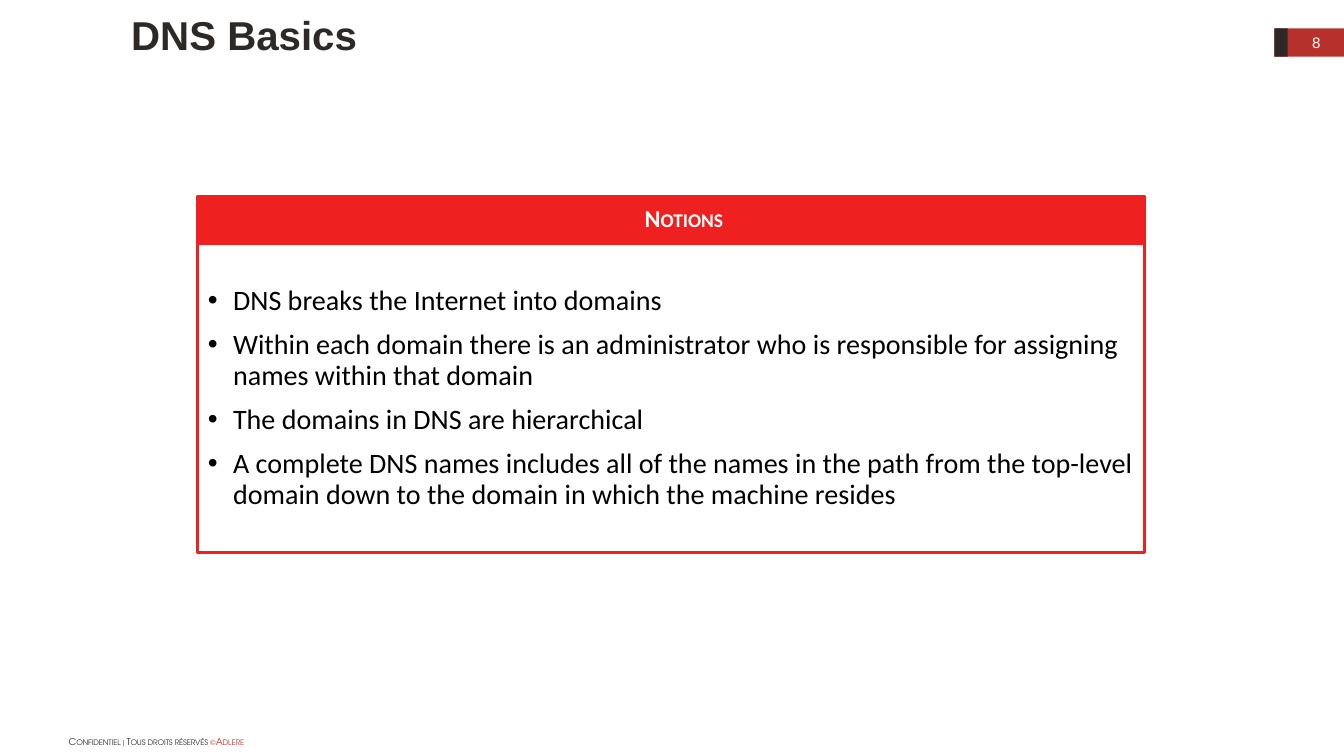
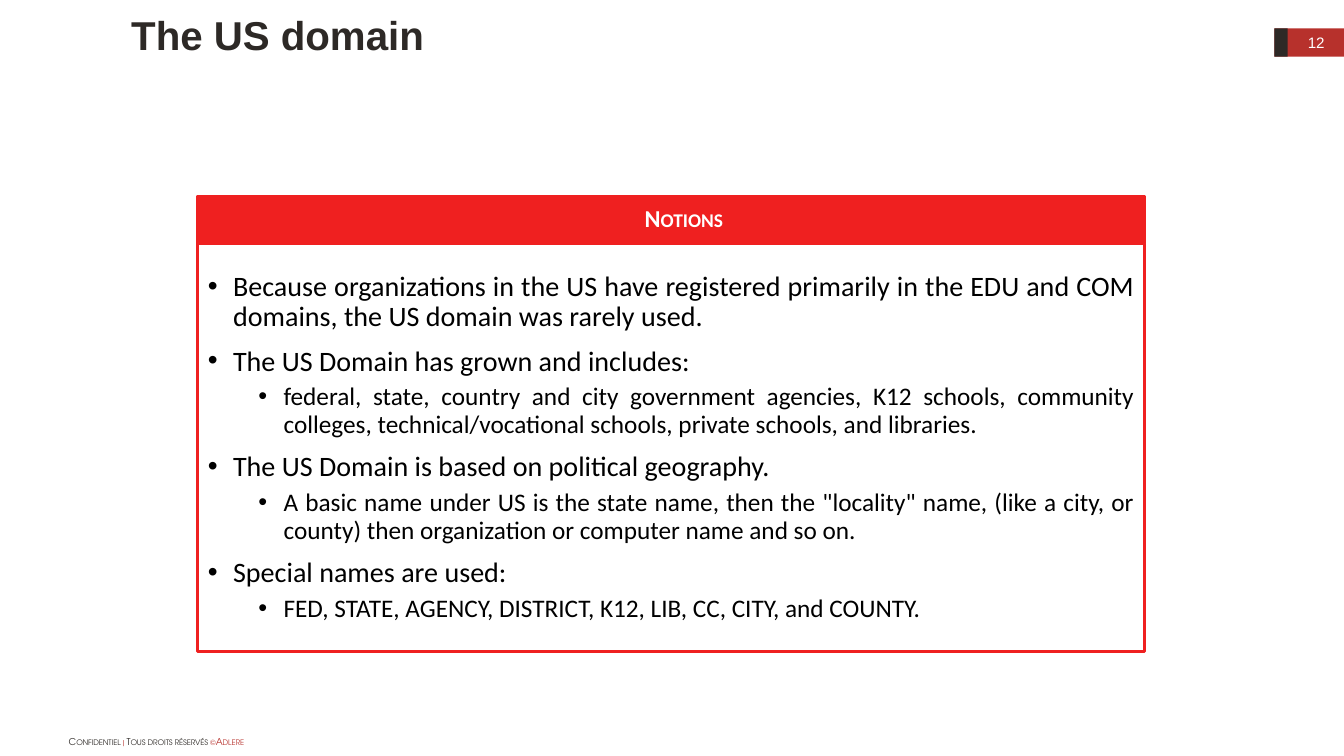
from dataclasses import dataclass
from typing import Optional

from lxml.etree import SubElement
from pptx import Presentation
from pptx.dml.color import RGBColor
from pptx.enum.shapes import MSO_SHAPE
from pptx.enum.text import MSO_ANCHOR, MSO_AUTO_SIZE, PP_ALIGN
from pptx.oxml.ns import qn
from pptx.util import Pt

# Shared look
WHITE, BLACK, DARK = "FFFFFF", "000000", "2D2926"
BRICK, RED = "B7312C", "EF2020"
HEADING_FONT, BODY_FONT, FOOTER_FONT = "Arial", "Calibri", "TeX Gyre Adventor"
PAGE_WIDTH, PAGE_HEIGHT = 957.6, 538.6
BAND_LEFT, BAND_TOP, BAND_HEIGHT, STRIP_WIDTH = 908, 20.2, 20.2, 9.4
PANEL_LEFT, PANEL_TOP, PANEL_WIDTH, HEADER_HEIGHT = 141, 139.7, 674.6, 33.8
BULLET_INDENT, LEVEL_STEP = 18, 36
LEVEL_SIZES, LEVEL_GAPS = (20, 18), (10, 5)
FOOTER = (("Confidentiel ", DARK), ("| ", BRICK),
          ("Tous droits réservés ", DARK), ("©Adlere", BRICK))


@dataclass(frozen=True)
class Box:
    left: float
    top: float
    width: float
    height: float

    def lengths(self) -> tuple:
        return Pt(self.left), Pt(self.top), Pt(self.width), Pt(self.height)


@dataclass(frozen=True)
class Bullet:
    text: str
    level: int = 0


@dataclass(frozen=True)
class Lesson:
    title: str
    number: int
    panel_height: float
    bullets: tuple
    align: PP_ALIGN = PP_ALIGN.LEFT


def colour(value: str) -> RGBColor:
    return RGBColor.from_string(value)


def add_run(paragraph, text: str, *, size: float, font: str, ink: str,
            bold: bool = False, small_caps: bool = False) -> None:
    run = paragraph.add_run()
    run.text = text
    run.font.size = Pt(size)
    run.font.name = font
    run.font.bold = bold
    run.font.color.rgb = colour(ink)
    if small_caps:
        run.font._element.set("cap", "small")


def add_rect(slide, box: Box, fill: str, line: Optional[str] = None):
    rect = slide.shapes.add_shape(MSO_SHAPE.RECTANGLE, *box.lengths())
    rect.shadow.inherit = False
    rect.fill.solid()
    rect.fill.fore_color.rgb = colour(fill)
    if line:
        rect.line.color.rgb = colour(line)
        rect.line.width = Pt(2)
    else:
        rect.line.fill.background()
    return rect


def set_frame(shape, anchor: MSO_ANCHOR, insets: tuple = (7.2, 3.6, 7.2, 3.6)):
    frame = shape.text_frame
    frame.word_wrap = True
    frame.vertical_anchor = anchor
    (frame.margin_left, frame.margin_top,
     frame.margin_right, frame.margin_bottom) = map(Pt, insets)
    return frame


def add_text_frame(slide, box: Box, anchor: MSO_ANCHOR):
    return set_frame(slide.shapes.add_textbox(*box.lengths()), anchor)


def add_bullet_mark(paragraph, level: int) -> None:
    properties = paragraph._p.get_or_add_pPr()
    properties.set("marL", str(Pt(BULLET_INDENT + level * LEVEL_STEP)))
    properties.set("indent", str(-Pt(BULLET_INDENT)))
    SubElement(properties, qn("a:buFont")).set("typeface", "Arial")
    SubElement(properties, qn("a:buChar")).set("char", "•")


def draw_furniture(slide, title: str, number: int) -> None:
    # Page number band
    band = Box(BAND_LEFT, BAND_TOP, PAGE_WIDTH - BAND_LEFT, BAND_HEIGHT)
    add_rect(slide, band, BRICK)
    add_rect(slide, Box(BAND_LEFT, BAND_TOP, STRIP_WIDTH, BAND_HEIGHT), DARK)
    page = add_text_frame(slide, Box(918, BAND_TOP, 39.6, BAND_HEIGHT),
                          MSO_ANCHOR.MIDDLE).paragraphs[0]
    page.alignment = PP_ALIGN.CENTER
    add_run(page, str(number), size=10.8, font=HEADING_FONT, ink=WHITE)

    # Footer
    footer = add_text_frame(slide, Box(41.8, 520.6, 226.8, 15.1), MSO_ANCHOR.TOP)
    footer.auto_size = MSO_AUTO_SIZE.SHAPE_TO_FIT_TEXT
    for words, ink in FOOTER:
        add_run(footer.paragraphs[0], words, size=6.7, font=FOOTER_FONT,
                ink=ink, small_caps=True)

    # Title
    heading = add_text_frame(slide, Box(86.4, 11.5, 795.6, 33.8), MSO_ANCHOR.BOTTOM)
    add_run(heading.paragraphs[0], title, size=28.7, font=HEADING_FONT,
            ink=DARK, bold=True)


def draw_panel(slide, lesson: Lesson) -> None:
    # Panel header
    header = add_rect(slide, Box(PANEL_LEFT, PANEL_TOP, PANEL_WIDTH, HEADER_HEIGHT),
                      RED, RED)
    label = set_frame(header, MSO_ANCHOR.MIDDLE, (25.2, 0, 7.2, 0)).paragraphs[0]
    label.alignment = PP_ALIGN.CENTER
    label.line_spacing = 0.9
    add_run(label, "Notions", size=17.3, font=BODY_FONT, ink=WHITE,
            bold=True, small_caps=True)

    # Panel body
    body = add_rect(slide, Box(PANEL_LEFT, PANEL_TOP + HEADER_HEIGHT,
                               PANEL_WIDTH, lesson.panel_height), WHITE, RED)
    frame = set_frame(body, MSO_ANCHOR.MIDDLE, (7.2,) * 4)
    for index, bullet in enumerate(lesson.bullets):
        paragraph = frame.add_paragraph() if index else frame.paragraphs[0]
        add_bullet_mark(paragraph, bullet.level)
        paragraph.level = bullet.level
        paragraph.alignment = lesson.align
        paragraph.line_spacing = 0.9
        if index:
            paragraph.space_before = Pt(LEVEL_GAPS[bullet.level])
        add_run(paragraph, bullet.text, size=LEVEL_SIZES[bullet.level],
                font=BODY_FONT, ink=BLACK)


LESSONS = (
    Lesson("DNS Basics", 8, 220.3, (
        Bullet("DNS breaks the Internet into domains"),
        Bullet("Within each domain there is an administrator who is responsible "
               "for assigning names within that domain"),
        Bullet("The domains in DNS are hierarchical"),
        Bullet("A complete DNS names includes all of the names in the path from "
               "the top-level domain down to the domain in which the machine resides"),
    )),
    Lesson("The US domain", 12, 290.9, (
        Bullet("Because organizations in the US have registered primarily in the "
               "EDU and COM domains, the US domain was rarely used."),
        Bullet("The US Domain has grown and includes:"),
        Bullet("federal, state, country and city government agencies, K12 schools, "
               "community colleges, technical/vocational schools, private schools, "
               "and libraries.", 1),
        Bullet("The US Domain is based on political geography."),
        Bullet('A basic name under US is the state name, then the "locality" name, '
               "(like a city, or county) then organization or computer name and "
               "so on.", 1),
        Bullet("Special names are used:"),
        Bullet("FED, STATE, AGENCY, DISTRICT, K12, LIB, CC, CITY, and COUNTY.", 1),
    ), PP_ALIGN.JUSTIFY),
)


def main() -> None:
    deck = Presentation()
    deck.slide_width, deck.slide_height = Pt(PAGE_WIDTH), Pt(PAGE_HEIGHT)
    for lesson in LESSONS:
        slide = deck.slides.add_slide(deck.slide_layouts[6])
        draw_furniture(slide, lesson.title, lesson.number)
        draw_panel(slide, lesson)
    deck.save("out.pptx")


if __name__ == "__main__":
    main()
